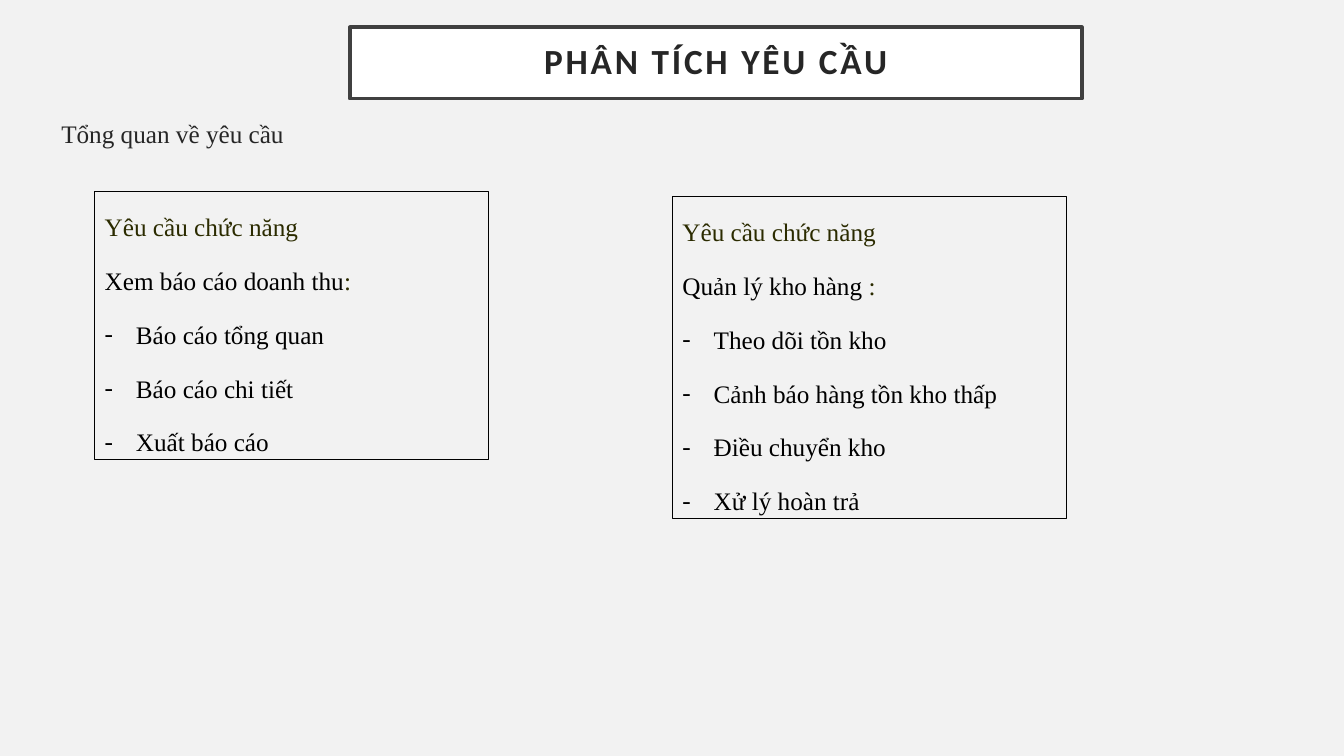
from pptx import Presentation
from pptx.dml.color import RGBColor
from pptx.enum.shapes import MSO_SHAPE as Shape
from pptx.enum.text import MSO_ANCHOR as Anchor, MSO_AUTO_SIZE as Auto, PP_ALIGN as Align
from pptx.oxml.ns import qn
from pptx.util import Inches, Pt
from lxml.etree import SubElement

SERIF = "Times New Roman"
OLIVE = "2B2B00"
BLACK = "000000"


def paint(target, color):
    """Apply a hex color to a fill or a font."""
    if hasattr(target, "solid"):
        target.solid()
        target.fore_color.rgb = RGBColor.from_string(color)
    else:
        target.color.rgb = RGBColor.from_string(color)


def style(par, size, name, color):
    par.font.size = Pt(size)
    par.font.name = name
    paint(par.font, color)


def add_box(slide, box, line, width, fill=None):
    shape = slide.shapes.add_shape(Shape.RECTANGLE, *map(Inches, box))
    shape.shadow.inherit = False
    if fill:
        paint(shape.fill, fill)
    else:
        shape.fill.background()
    paint(shape.line.fill, line)
    shape.line.width = Pt(width)
    shape.text_frame.word_wrap = True
    return shape.text_frame


def add_title(slide, box, text):
    frame = add_box(slide, box, "404040", 2.5, "FFFFFF")
    frame.vertical_anchor = Anchor.MIDDLE
    frame.margin_left = frame.margin_right = Inches(0.2)
    frame.margin_top = frame.margin_bottom = Inches(0.2)
    par = frame.paragraphs[0]
    par.alignment = Align.CENTER
    par.line_spacing = 0.9
    run = par.add_run()
    run.text = text
    run.font._element.set("spc", "200")
    style(par, 25.2, "Calibri", "262626")
    par.font.bold = True


def add_lead(slide, box, text):
    frame = slide.shapes.add_textbox(*map(Inches, box)).text_frame
    frame.word_wrap = True
    par = frame.paragraphs[0]
    par.text = text
    par.space_before = Pt(10)
    style(par, 18, SERIF, "262626")


def add_dash(par):
    props = par._p.get_or_add_pPr()
    indent = Inches(0.31)
    props.set("marL", str(indent))
    props.set("indent", str(-indent))
    SubElement(props, qn("a:buFont"), typeface=SERIF)
    SubElement(props, qn("a:buChar"), char="-")


def add_card(slide, box, topic, items):
    frame = add_box(slide, box, BLACK, 0.75)
    frame.vertical_anchor = Anchor.TOP
    frame.auto_size = Auto.SHAPE_TO_FIT_TEXT
    lines = ["Yêu cầu chức năng", topic, *items]
    for i, text in enumerate(lines):
        par = frame.add_paragraph() if i else frame.paragraphs[0]
        par.alignment = Align.JUSTIFY
        par.line_spacing = 1.5
        par.space_before = Pt(6)
        par.add_run().text = text
        if i > 1:
            add_dash(par)
        style(par, 18, SERIF, BLACK if i else OLIVE)
        # The topic ends in a colored colon
        if i == 1:
            colon = par.add_run()
            colon.text = ":"
            paint(colon.font, OLIVE)


def main():
    deck = Presentation()
    deck.slide_width, deck.slide_height = Inches(13.33), Inches(7.5)
    slide = deck.slides.add_slide(deck.slide_layouts[6])
    paint(slide.background.fill, "F2F2F2")

    # Heading
    add_title(slide, (3.47, 0.27, 7.26, 0.71), "PHÂN TÍCH YÊU CẦU")
    add_lead(slide, (0.51, 1.12, 5.47, 0.71), "Tổng quan về yêu cầu")

    # Requirement cards
    add_card(slide, (0.94, 1.9, 3.91, 2.66), "Xem báo cáo doanh thu",
             ["Báo cáo tổng quan", "Báo cáo chi tiết", "Xuất báo cáo"])
    add_card(slide, (6.67, 1.95, 3.91, 3.19), "Quản lý kho hàng ",
             ["Theo dõi tồn kho", "Cảnh báo hàng tồn kho thấp",
              "Điều chuyển kho", "Xử lý hoàn trả"])
    deck.save("out.pptx")


if __name__ == "__main__":
    main()
